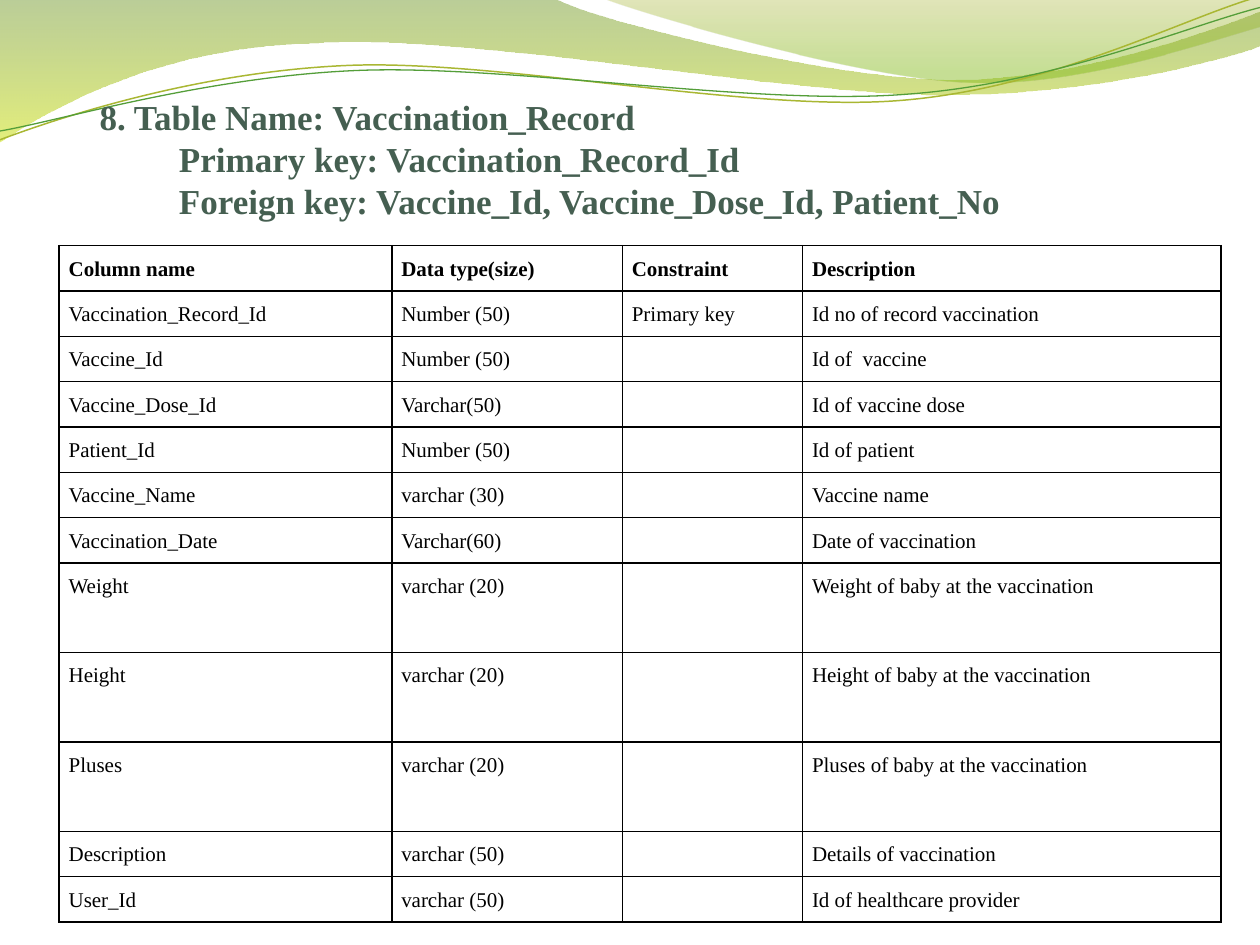
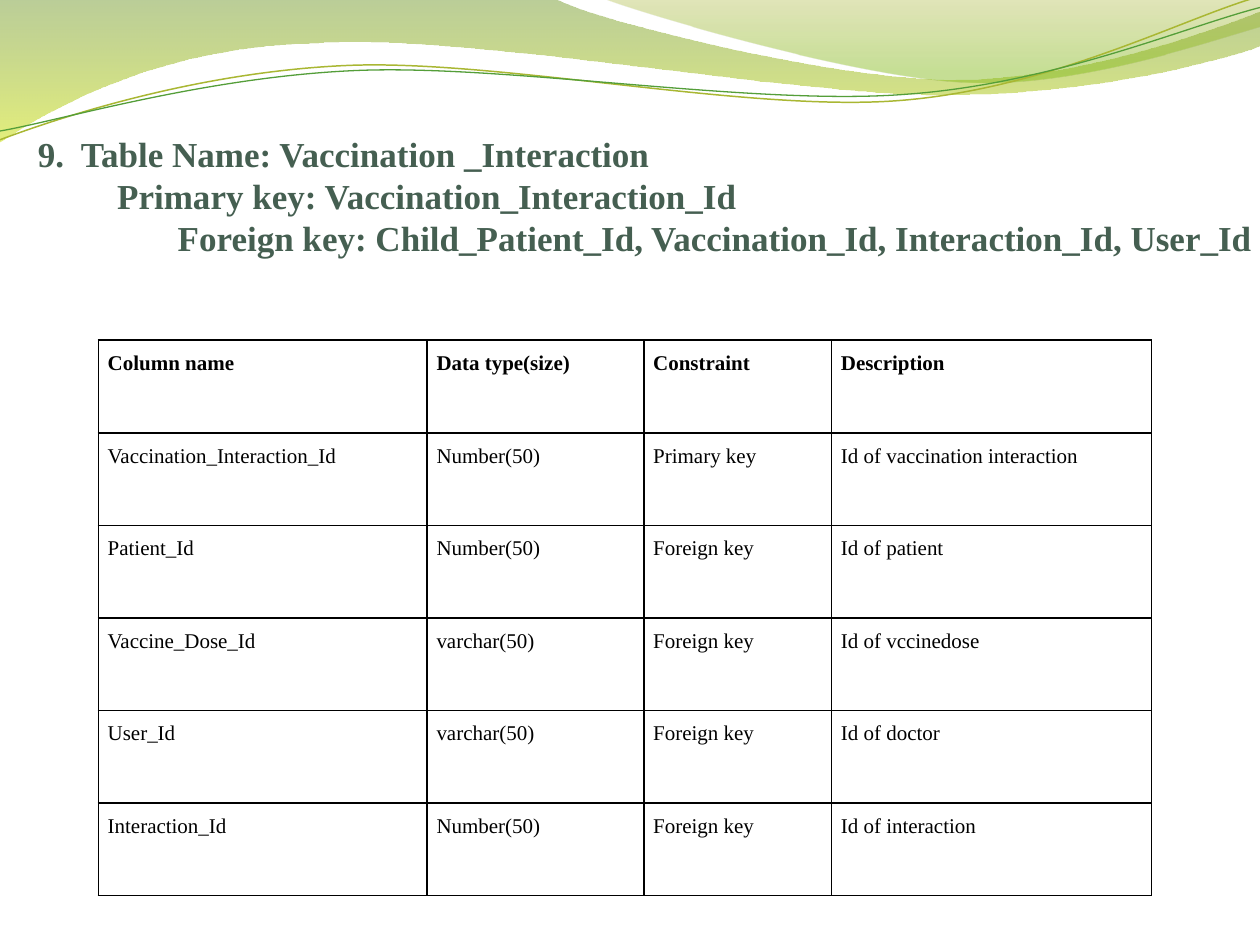
"""Build two slides that describe database tables of a vaccination system."""
import math
from lxml import etree
from pptx import Presentation
from pptx import util as u
from pptx.dml.color import RGBColor
from pptx.enum import text
from pptx.oxml.ns import qn

INK, TITLE, WHITE = "000000", "455F51", "FFFFFF"
HEADER = ("Column name", "Data type(size)", "Constraint", "Description")

WAVES = [
    dict(start=(0, 0), segments=[
        [(4.4, -0.01)],
        [(4.75, 0.17), (6.63, 0.63), (7.58, 0.63)],
        [(8.53, 0.63), (9.58, 0.26), (10, 0.09)],
        [(10.01, 0.36)],
        [(9.83, 0.44), (8.69, 0.76), (7.46, 0.75)],
        [(6.22, 0.75), (3.81, 0.28), (2.57, 0.34)],
        [(1.29, 0.36), (0.46, 0.83), (-0.01, 1.13)],
        [(0, 0)]],
        stops=[(0, "69921C", 45), (1, "CCE10F", 55)]),
    dict(start=(4.79, -0.01), segments=[
        [(5.09, 0.11), (6.82, 0.62), (7.68, 0.65)],
        [(8.55, 0.69), (9.61, 0.32), (10, 0.21)],
        [(10, 0)],
        [(4.79, -0.01)]],
        stops=[(0, "9BAA1A", 30), (0.8, "81BA16", 45)]),
    dict(start=(0, 1.11), segments=[
        [(0.48, 0.93), (1.57, 0.57), (2.76, 0.52)],
        [(3.95, 0.47), (5.92, 0.89), (7.12, 0.8)],
        [(8.33, 0.71), (9.38, 0.15), (9.97, -0.02)]],
        line=("A9B733", 0.85), center=(4.99, 0.57), tilt=2.7),
    dict(start=(0, 1.04), segments=[
        [(0.47, 0.96), (1.63, 0.61), (2.83, 0.56)],
        [(4.02, 0.51), (5.97, 0.84), (7.17, 0.75)],
        [(8.36, 0.67), (9.41, 0.21), (10, 0.06)]],
        line=("549E39", 0.75), center=(5, 0.59), tilt=2.7),
]

RECORD_ROWS = [
    ("Vaccination_Record_Id", "Number (50)", "Primary key", "Id no of record vaccination"),
    ("Vaccine_Id", "Number (50)", "", "Id of  vaccine"),
    ("Vaccine_Dose_Id", "Varchar(50)", "", "Id of vaccine dose"),
    ("Patient_Id", "Number (50)", "", "Id of patient"),
    ("Vaccine_Name", "varchar (30)", "", "Vaccine name"),
    ("Vaccination_Date", "Varchar(60)", "", "Date of vaccination"),
    ("Weight", "varchar (20)", "", "Weight of baby at the vaccination"),
    ("Height", "varchar (20)", "", "Height of baby at the vaccination"),
    ("Pluses", "varchar (20)", "", "Pluses of baby at the vaccination "),
    ("Description", "varchar (50)", "", "Details of vaccination"),
    ("User_Id", "varchar (50)", "", "Id of healthcare provider"),
]

INTERACTION_ROWS = [
    ("Vaccination_Interaction_Id", "Number(50)", "Primary key", "Id of vaccination interaction "),
    ("Patient_Id", "Number(50)", "Foreign key", "Id of patient"),
    ("Vaccine_Dose_Id", "varchar(50)", "Foreign key", "Id of vccinedose"),
    ("User_Id", "varchar(50)", "Foreign key", "Id of doctor"),
    ("Interaction_Id", "Number(50)", "Foreign key", "Id of interaction"),
]


def rgb(code):
    """Turn a hex string into a colour."""
    return RGBColor.from_string(code)


def turn(point, center, degrees):
    """Turn a point clockwise about a center."""
    a = math.radians(degrees)
    dx, dy = point[0] - center[0], point[1] - center[1]
    return (center[0] + dx * math.cos(a) - dy * math.sin(a),
            center[1] + dx * math.sin(a) + dy * math.cos(a))


class Deck:
    """Hold the style and the current slide."""

    font = "Times New Roman"

    def __init__(self, prs):
        """Keep the presentation and start without a slide."""
        self.prs = prs
        self.s = None

    def slide(self):
        """Start a new title-only slide."""
        self.s = self.prs.slides.add_slide(self.prs.slide_layouts[5])

    def run(self, p, words, size, color, bold):
        """Add one formatted run."""
        r = p.add_run()
        r.text = words
        r.font.name, r.font.size, r.font.bold = self.font, u.Pt(size), bold
        r.font.color.rgb = rgb(color)

    def curve(self, start, segments, center, tilt):
        """Draw an outline of straight and cubic segments."""
        points = [start] + [point for segment in segments for point in segment]
        points = [turn(point, center, tilt) for point in points]
        points = [(u.Inches(x), u.Inches(y)) for x, y in points]
        outline = self.s.shapes.build_freeform(*points[0])
        outline.add_line_segments(points[1:], close=segments[-1][-1] == start)
        sp = outline.convert_to_shape()
        sp.rotation = -tilt
        nodes = iter(list(sp._element.iter(qn("a:lnTo"))))
        for segment in segments:
            group = [next(nodes) for _ in segment]
            if len(group) == 3:
                group[0].tag = qn("a:cubicBezTo")
                for node in group[1:]:
                    group[0].append(node[0])
                    node.getparent().remove(node)
        return sp

    def wave(self, start, segments, stops=None, line=None, center=(0, 0), tilt=0):
        """Draw a gradient band or a thin curved line."""
        sp = self.curve(start, segments, center, tilt)
        sp.shadow.inherit = False
        if stops:
            sp.line.fill.background()
            sp.fill.gradient()
            sp.fill.gradient_angle = 270
            for stop, (position, color, _) in zip(sp.fill.gradient_stops, stops):
                stop.position, stop.color.rgb = position, rgb(color)
            for node, (_, _, opacity) in zip(sp._element.iter(qn("a:srgbClr")), stops):
                etree.SubElement(node, qn("a:alpha"), val=str(opacity * 1000))
        else:
            sp.fill.background()
            sp.line.color.rgb, sp.line.width = rgb(line[0]), u.Pt(line[1])
        return sp

    def header_art(self):
        """Draw the waves once and move them to the back of the master."""
        tree = self.prs.slide_master.shapes._spTree
        for i, wave in enumerate(WAVES):
            sp = self.wave(**wave)
            sp._element.nvSpPr.cNvPr.set("id", str(20 + i))
            tree.insert(2 + i, sp._element)

    def title(self, left, top, width, lines):
        """Fill the title with (indent, words) lines."""
        sp = self.s.shapes.title
        sp.left, sp.top = u.Inches(left), u.Inches(top)
        sp.width, sp.height = u.Inches(width), u.Inches(1.11)
        tf = sp.text_frame
        tf.word_wrap, tf.auto_size = True, text.MSO_AUTO_SIZE.NONE
        tf.vertical_anchor = text.MSO_ANCHOR.MIDDLE
        for i, (indent, words) in enumerate(lines):
            p = tf.add_paragraph() if i else tf.paragraphs[0]
            p.alignment = text.PP_ALIGN.LEFT
            p._p.get_or_add_pPr().set("marL", str(u.Inches(indent)))
            self.run(p, words, 20, TITLE, True)

    def cell(self, cell, words, bold):
        """Format one table cell and write its words."""
        cell.margin_left = cell.margin_right = u.Pt(5.4)
        cell.margin_top = cell.margin_bottom = 0
        if words:
            p = cell.text_frame.paragraphs[0]
            p.alignment, p.line_spacing, p.space_after = text.PP_ALIGN.JUSTIFY, 1.5, u.Pt(10)
            self.run(p, words, 12, INK, bold)
        tcPr = cell._tc.get_or_add_tcPr()
        for side in ("lnL", "lnR", "lnT", "lnB"):
            ln = etree.SubElement(tcPr, qn("a:" + side), w=str(u.Pt(1)))
            fill = etree.SubElement(ln, qn("a:solidFill"))
            etree.SubElement(fill, qn("a:srgbClr"), val=INK)
        cell.fill.solid()
        cell.fill.fore_color.rgb = rgb(WHITE)

    def table(self, left, top, widths, heights, rows):
        """Add a bordered table under the common header row."""
        frame = self.s.shapes.add_table(
            len(heights), len(widths), u.Inches(left), u.Inches(top),
            u.Inches(sum(widths)), u.Inches(sum(heights)))
        tbl = frame.table
        tbl.first_row = tbl.horz_banding = False
        for column, width in zip(tbl.columns, widths):
            column.width = u.Inches(width)
        for i, (height, row) in enumerate(zip(heights, [HEADER] + rows)):
            tbl.rows[i].height = u.Inches(height)
            for j, words in enumerate(row):
                self.cell(tbl.cell(i, j), words, i == 0)


def main():
    """Build and save the deck."""
    prs = Presentation()
    prs.slide_width, prs.slide_height = u.Inches(10), u.Inches(7.5)
    deck = Deck(prs)

    deck.slide()
    deck.header_art()
    deck.title(0.69, 0.7, 7.4, [
        (0, "8. Table Name: Vaccination_Record"),
        (0.63, "Primary key: Vaccination_Record_Id"),
        (0.63, "Foreign key: Vaccine_Id, Vaccine_Dose_Id, Patient_No")])
    deck.table(0.47, 1.95, [2.64, 1.83, 1.43, 3.32],
               [0.36] * 7 + [0.71] * 3 + [0.36] * 2, RECORD_ROWS)

    deck.slide()
    deck.title(0.2, 1, 9.91, [
        (0, "9.  Table Name: Vaccination _Interaction"),
        (0.63, "Primary key: Vaccination_Interaction_Id"),
        (1.11, "Foreign key: Child_Patient_Id, Vaccination_Id, Interaction_Id, User_Id")])
    deck.table(0.78, 2.7, [2.61, 1.72, 1.49, 2.54], [4.41 / 6] * 6, INTERACTION_ROWS)

    prs.save("out.pptx")


if __name__ == "__main__":
    main()
